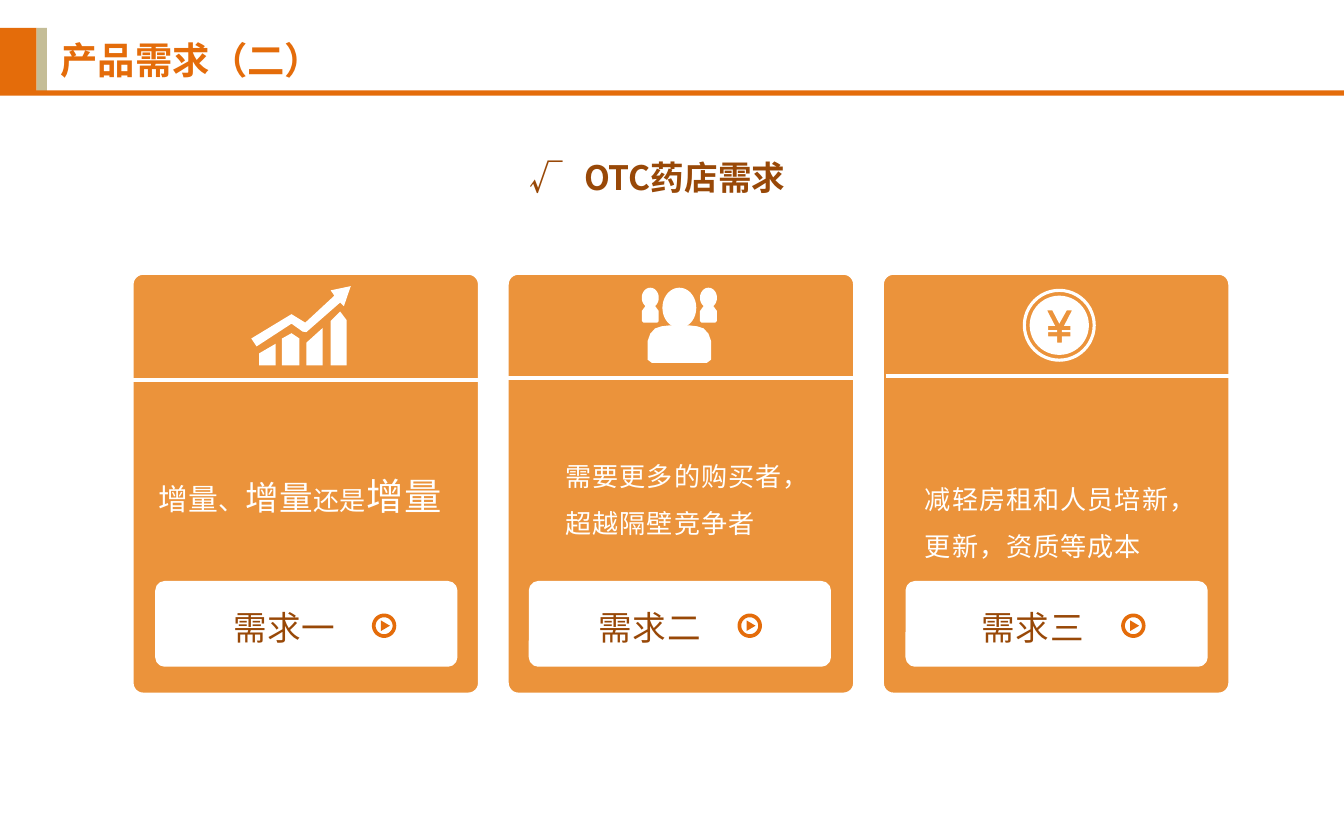
from dataclasses import dataclass
from math import cos, pi, sin

from lxml.etree import SubElement
from pptx import Presentation
from pptx.dml.color import RGBColor
from pptx.enum.shapes import MSO_CONNECTOR, MSO_SHAPE
from pptx.enum.text import MSO_ANCHOR, MSO_AUTO_SIZE, PP_ALIGN
from pptx.oxml.ns import qn
from pptx.util import Cm, Pt

COLORS = {"accent": "E46C0A", "card": "EB933B", "brown": "984807",
          "sand": "C4BD97", "white": "FFFFFF"}
FONT = "Noto Sans CJK SC"
CARD_LEFT, CARD_TOP, CARD_PITCH = 2.49, 5.16, 7.09
CARD_WIDTH, CARD_HEIGHT = 6.58, 7.97
UNITS_PER_CM = 1000

Point = tuple[float, float]
Box = tuple[float, float, float, float]


@dataclass
class Phrase:
    text: str
    size: float
    color: str = "white"
    spacing: int = 0  # hundredths of a point
    bold: bool = False


@dataclass
class Need:
    label: str
    phrases: list[Phrase]
    text_box: Box
    align: PP_ALIGN
    line_spacing: float
    divider: Point
    button_left: float
    label_left: float
    play_x: float


NEEDS = [
    Need("需求一", [Phrase("增量", 16, spacing=20), Phrase("、", 14, spacing=20),
                 Phrase("增量", 18, spacing=20), Phrase("还是", 14, spacing=20),
                 Phrase("增量", 20, spacing=20)],
         (2.97, 8.94, 5.41, 0.86), PP_ALIGN.CENTER, 1.0,
         (2.51, 7.19), 2.97, 4.39, 7.26),
    Need("需求二", [Phrase("需要更多的购买者，超越隔壁竞争者", 14, spacing=50)],
         (10.69, 8.41, 4.95, 1.7), PP_ALIGN.LEFT, 1.5,
         (9.55, 7.14), 10.03, 11.3, 14.17),
    Need("需求三", [Phrase("减轻房租和人员培新，更新，资质等成本", 14, spacing=50)],
         (17.48, 8.84, 5.44, 1.8), PP_ALIGN.LEFT, 1.5,
         (16.74, 7.11), 17.15, 18.54, 21.42),
]


def rgb(name: str) -> RGBColor:
    return RGBColor.from_string(COLORS[name])


def paint(shape, fill: str, outline: str | None = None) -> None:
    shape.shadow.inherit = False
    shape.fill.solid()
    shape.fill.fore_color.rgb = rgb(fill)
    if outline:
        shape.line.color.rgb = rgb(outline)
        shape.line.width = Pt(2)
    else:
        shape.line.fill.background()


def draw_block(slide, box: Box, fill: str, corner: float | None = None) -> None:
    preset = MSO_SHAPE.ROUNDED_RECTANGLE if corner else MSO_SHAPE.RECTANGLE
    block = slide.shapes.add_shape(preset, *map(Cm, box))
    if corner:
        block.adjustments[0] = corner
    paint(block, fill, "white" if corner else None)


def write(frame, phrases: list[Phrase], align=PP_ALIGN.LEFT, line_spacing=1.0,
          wrap=True, inset: float | None = None):
    settings = {"word_wrap": wrap, "auto_size": MSO_AUTO_SIZE.NONE,
                "vertical_anchor": MSO_ANCHOR.TOP}
    if inset is not None:
        settings |= {f"margin_{side}": Cm(inset)
                     for side in ("left", "right", "top", "bottom")}
    for key, value in settings.items():
        setattr(frame, key, value)
    paragraph = frame.paragraphs[0]
    paragraph.alignment = align
    paragraph.line_spacing = line_spacing
    for phrase in phrases:
        run = paragraph.add_run()
        run.text = phrase.text
        for key, value in {"name": FONT, "size": Pt(phrase.size), "bold": phrase.bold}.items():
            setattr(run.font, key, value)
        run.font.color.rgb = rgb(phrase.color)
        properties = run.font._element
        properties.set("spc", str(phrase.spacing))
        SubElement(properties, qn("a:ea")).set("typeface", FONT)
    return paragraph


def add_text(slide, box: Box, phrases: list[Phrase], **layout):
    return write(slide.shapes.add_textbox(*map(Cm, box)).text_frame, phrases, **layout)


def ellipse(x: float, y: float, rx: float, ry: float, steps: int = 48) -> list[Point]:
    angles = [2 * pi * step / steps for step in range(steps)]
    return [(x + rx * cos(a), y + ry * sin(a)) for a in angles]


def shift(points: list[Point], x: float, y: float) -> list[Point]:
    return [(x + dx, y + dy) for dx, dy in points]


def draw_outline(slide, contours: list[list[Point]], fill: str) -> None:
    scaled = [[(round(x * UNITS_PER_CM), round(y * UNITS_PER_CM)) for x, y in contour]
              for contour in contours]
    builder = slide.shapes.build_freeform(*scaled[0][0], scale=Cm(1) / UNITS_PER_CM)
    for index, contour in enumerate(scaled):
        if index:
            builder.move_to(*contour[0])
        builder.add_line_segments(contour[1:], close=True)
    paint(builder.convert_to_shape(), fill)


def draw_need(slide, index: int, need: Need) -> None:
    left = CARD_LEFT + index * CARD_PITCH
    draw_block(slide, (left, CARD_TOP, CARD_WIDTH, CARD_HEIGHT), "card", 0.033)
    add_text(slide, need.text_box, need.phrases, align=need.align,
             line_spacing=need.line_spacing, inset=0)
    # Button with its play mark
    draw_block(slide, (need.button_left, 11.02, 5.64, 1.55), "white", 0.094)
    add_text(slide, (need.label_left, 11.48, 1.96, 0.76),
             [Phrase(need.label, 18, "brown", 30)],
             align=PP_ALIGN.CENTER, wrap=False, inset=0)
    x, y = need.play_x, 11.83
    draw_outline(slide, [ellipse(x, y, 0.23, 0.23), ellipse(x, y, 0.16, 0.16),
                         shift([(-0.06, -0.1), (0.11, 0), (-0.06, 0.1)], x, y)], "accent")
    # Divider
    start, level = need.divider
    divider = slide.shapes.add_connector(
        MSO_CONNECTOR.STRAIGHT, Cm(start), Cm(level), Cm(start + 6.59), Cm(level))
    divider.line.color.rgb = rgb("white")
    divider.line.width = Pt(2)
    SubElement(divider._element.spPr, qn("a:effectLst"))


def draw_growth(slide) -> None:
    base = 6.91
    bar_tops = [[(4.9, 6.68), (5.21, 6.5)],
                [(5.33, 6.4), (5.51, 6.3), (5.66, 6.4)],
                [(5.79, 6.48), (6.1, 6.2)],
                [(6.25, 6.07), (6.43, 5.89), (6.55, 6.05)]]
    bars = [top + [(top[-1][0], base), (top[0][0], base)] for top in bar_tops]
    arrow = [(4.75, 6.4), (5.46, 5.97), (5.51, 5.94), (5.77, 6.1), (6.32, 5.59),
             (6.25, 5.49), (6.63, 5.41), (6.5, 5.79), (6.43, 5.72), (5.79, 6.28),
             (5.72, 6.27), (5.51, 6.12), (4.85, 6.55)]
    draw_outline(slide, bars + [arrow], "white")


def draw_buyers(slide) -> None:
    centre = 12.84
    half = [(0.17, 6.15), (0.34, 6.17), (0.46, 6.21), (0.55, 6.31),
            (0.6, 6.45), (0.6, 6.8), (0.52, 6.86)]
    body = [(centre + x, y) for x, y in half] + [(centre - x, y) for x, y in reversed(half)]
    small_body = [(-0.08, 5.77), (0.08, 5.77), (0.16, 5.88), (0.16, 6.07), (0.13, 6.1),
                  (-0.13, 6.1), (-0.16, 6.07), (-0.16, 5.88)]
    people = [ellipse(centre, 5.82, 0.32, 0.38), body]
    for x in (centre - 0.55, centre + 0.55):
        people += [ellipse(x, 5.63, 0.16, 0.19), shift(small_body, x, 0)]
    for part in people:
        draw_outline(slide, [part], "white")


def draw_coin(slide) -> None:
    x, y = 20.02, 6.15
    yuan = [(0.09, 0.01), (0.21, 0.01), (0.21, 0.09), (0.05, 0.09), (0.05, 0.13),
            (0.21, 0.13), (0.21, 0.21), (0.05, 0.21), (0.05, 0.33), (-0.04, 0.33),
            (-0.04, 0.21), (-0.21, 0.21), (-0.21, 0.13), (-0.04, 0.13), (-0.04, 0.09),
            (-0.21, 0.09), (-0.21, 0.01), (-0.08, 0.01), (-0.23, -0.28),
            (-0.13, -0.28), (0, -0.03), (0.14, -0.28), (0.24, -0.28)]
    draw_outline(slide, [ellipse(x, y, 0.69, 0.69), ellipse(x, y, 0.63, 0.63)], "white")
    draw_outline(slide, [ellipse(x, y, 0.56, 0.56), shift(yuan, x, y)], "white")


def main() -> None:
    deck = Presentation()
    deck.slide_width, deck.slide_height = Cm(25.4), Cm(15.88)
    slide = deck.slides.add_slide(deck.slide_layouts[5])

    # Heading and its bands
    title = slide.shapes.title
    for key, value in {"left": 0.89, "top": 0.58, "width": 5.51, "height": 1.12}.items():
        setattr(title, key, Cm(value))
    write(title.text_frame, [Phrase("产品需求（二）", 20, "accent", bold=True)], wrap=False)
    draw_block(slide, (0.69, 0.53, 0.2, 1.19), "sand")
    draw_block(slide, (0, 0.53, 0.69, 1.19), "accent")
    draw_block(slide, (0, 1.71, 25.4, 0.1), "accent")

    # Subtitle, its words set off from the mark by a tab stop
    subtitle = add_text(slide, (9.75, 2.46, 6.55, 1.27),
                        [Phrase("√\tOTC药店需求", 18, "brown", bold=True)], line_spacing=1.5)
    stops = SubElement(subtitle._p.get_or_add_pPr(), qn("a:tabLst"))
    stop = SubElement(stops, qn("a:tab"))
    for key, value in {"pos": str(Cm(1.04)), "algn": "l"}.items():
        stop.set(key, value)

    # Cards and their icons
    for index, need in enumerate(NEEDS):
        draw_need(slide, index, need)
    for draw_icon in (draw_growth, draw_buyers, draw_coin):
        draw_icon(slide)

    deck.save("out.pptx")


if __name__ == "__main__":
    main()
